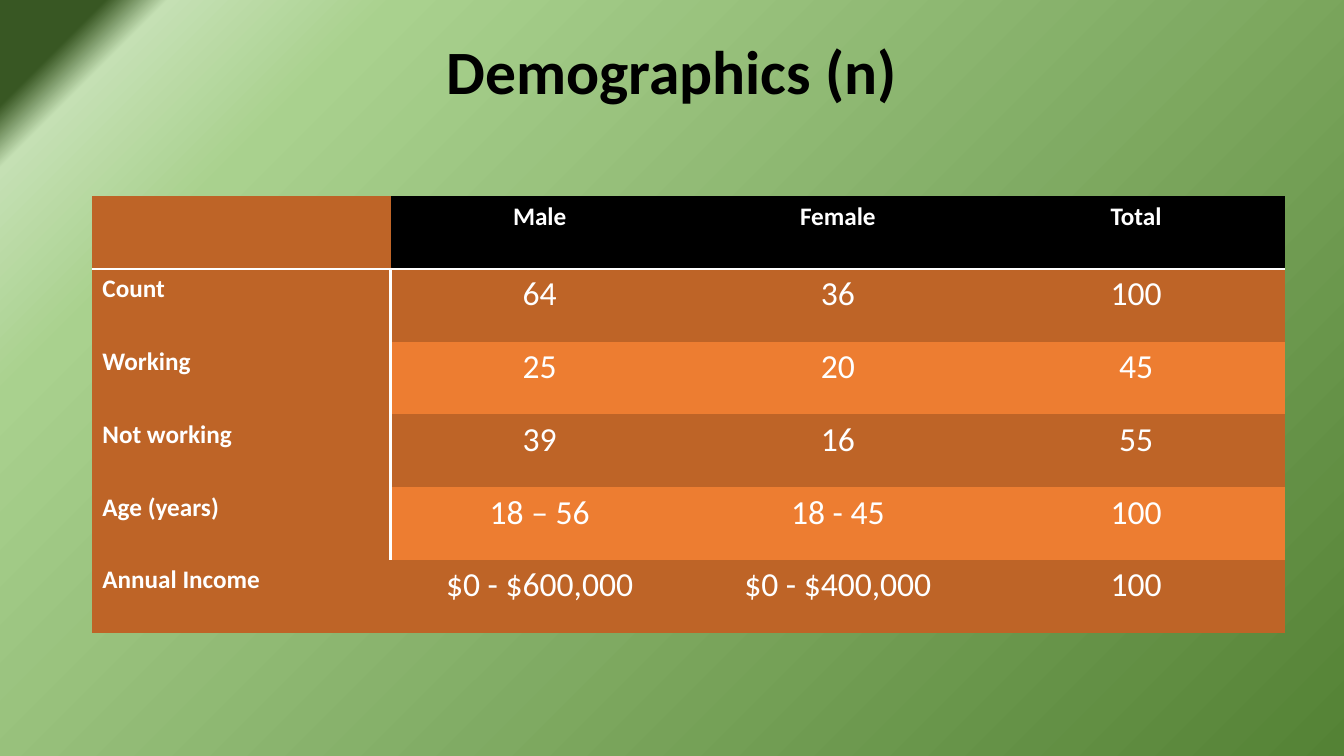
"""Build the demographics slide: a title over a table on a green gradient."""
import pptx
import pptx.dml.color
import pptx.enum.text
import pptx.oxml
import pptx.util

Pt = pptx.util.Pt
ALIGN = pptx.enum.text.PP_ALIGN
MIDDLE = pptx.enum.text.MSO_ANCHOR.MIDDLE
NS = "http://schemas.openxmlformats.org/drawingml/2006/main"
PLAIN = "{2D5ABB26-0587-4C30-8999-92F81FD0307C}"

TITLE = "Demographics (n)"
ROWS = [
    ("", "Male", "Female", "Total"),
    ("Count", "64", "36", "100"),
    ("Working", "25", "20", "45"),
    ("Not working", "39", "16", "55"),
    ("Age (years)", "18 – 56", "18 - 45", "100"),
    ("Annual Income", "$0 - $600,000", "$0 - $400,000", "100"),
]
STOPS = [(0, "548235"), (81, "A9D18E"), (92, "C5E0B4"), (95, "385723")]
BLACK, WHITE, RUST, ORANGE = "000000", "FFFFFF", "BE6427", "ED7D31"
LEFT, TOP, WIDE, HIGH = 66, 140, 213, 52
HEAD = {"size": Pt(44), "bold": True}
LABEL = {"size": Pt(18), "bold": True}
VALUE = {"size": Pt(24), "bold": False}


def paint(target, color):
    target.rgb = pptx.dml.color.RGBColor.from_string(color)


def write(frame, text, look, color, align):
    line = frame.paragraphs[0]
    line.alignment = align
    run = line.add_run()
    run.text = text
    for name, value in {"name": "Calibri", **look}.items():
        setattr(run.font, name, value)
    paint(run.font.color, color)
    return line


def shade(slide):
    slide.background.fill.gradient()
    old = slide.element.find(f".//{{{NS}}}gradFill")
    stops = "".join(
        f'<a:gs pos="{pos * 1000}"><a:srgbClr val="{color}"/></a:gs>'
        for pos, color in STOPS)
    new = pptx.oxml.parse_xml(
        f'<a:gradFill xmlns:a="{NS}" rotWithShape="1"><a:gsLst>{stops}</a:gsLst>'
        '<a:path path="circle"><a:fillToRect l="100000" t="100000"/></a:path>'
        '<a:tileRect r="-100000" b="-100000"/></a:gradFill>')
    old.getparent().replace(old, new)


def rule(cell, side):
    edge = pptx.oxml.parse_xml(
        f'<a:{side} xmlns:a="{NS}" w="{Pt(2)}"><a:solidFill>'
        f'<a:srgbClr val="{WHITE}"/></a:solidFill></a:{side}>')
    cell._tc.get_or_add_tcPr().insert(0, edge)


def add_title(slide):
    box = slide.shapes.add_textbox(Pt(66), Pt(18), Pt(828), Pt(70.5))
    frame = box.text_frame
    frame.word_wrap = True
    frame.vertical_anchor = MIDDLE
    write(frame, TITLE, HEAD, BLACK, ALIGN.CENTER).line_spacing = 0.9


def add_grid(slide):
    count, across = len(ROWS), len(ROWS[0])
    shape = slide.shapes.add_table(
        count, across, Pt(LEFT), Pt(TOP), Pt(WIDE * across), Pt(HIGH * count))
    table = shape.table
    table.first_row = table.horz_banding = False
    shape.element.find(f".//{{{NS}}}tableStyleId").text = PLAIN
    for r, row in enumerate(ROWS):
        table.rows[r].height = Pt(HIGH)
        for c, text in enumerate(row):
            cell = table.cell(r, c)
            if c == 0:
                back = RUST
            elif r == 0:
                back = BLACK
            else:
                back = RUST if r % 2 else ORANGE
            cell.fill.solid()
            paint(cell.fill.fore_color, back)
            if r == 0:
                rule(cell, "lnB")
            elif c == 0 and r < count - 1:
                rule(cell, "lnR")
            if text:
                look = VALUE if r and c else LABEL
                align = ALIGN.CENTER if c else ALIGN.LEFT
                write(cell.text_frame, text, look, WHITE, align)


def main():
    deck = pptx.Presentation()
    deck.slide_width, deck.slide_height = Pt(960), Pt(540)
    slide = deck.slides.add_slide(deck.slide_layouts[6])
    shade(slide)
    add_title(slide)
    add_grid(slide)
    deck.save("out.pptx")


if __name__ == "__main__":
    main()
